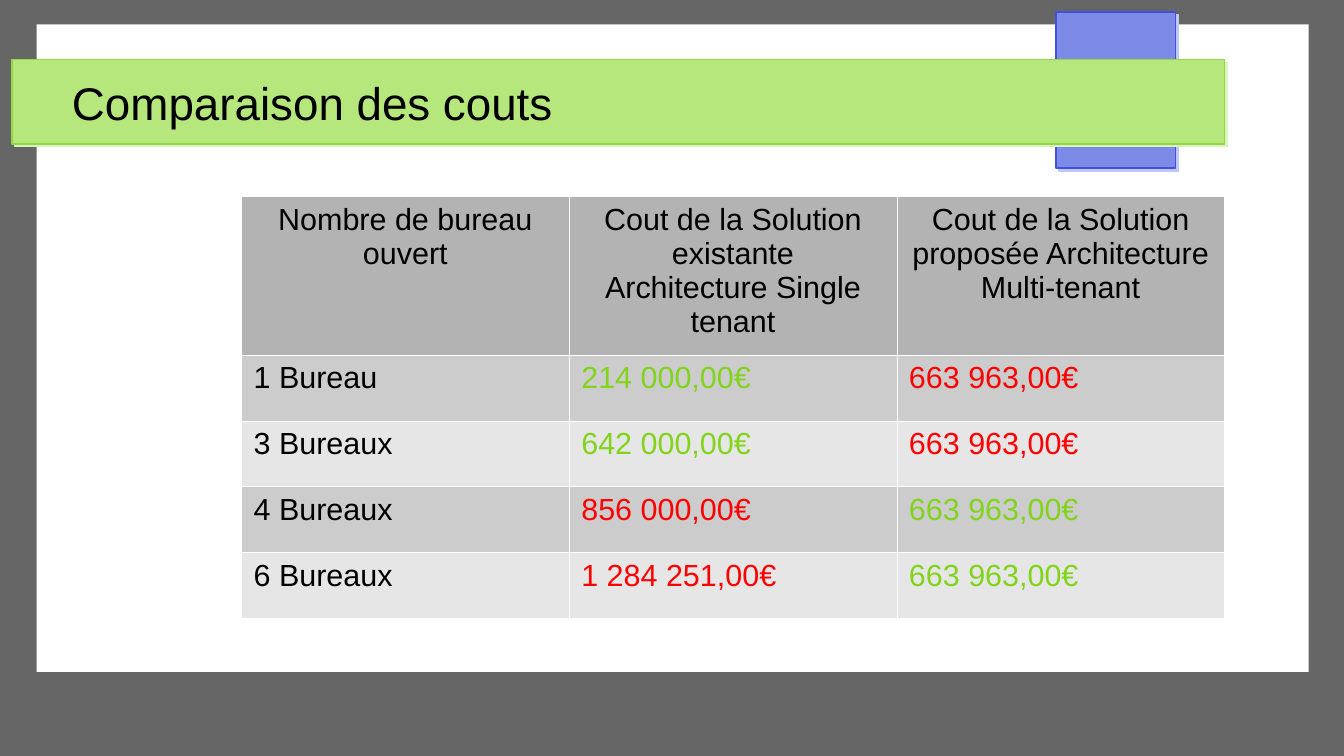
from lxml import etree
from pptx import Presentation
from pptx.dml.color import RGBColor
from pptx.enum.shapes import MSO_SHAPE
from pptx.enum.text import MSO_ANCHOR, PP_ALIGN
from pptx.oxml.ns import qn
from pptx.util import Inches, Pt

RECTANGLE = MSO_SHAPE.RECTANGLE
MIDDLE = MSO_ANCHOR.MIDDLE
LEFT, CENTER = PP_ALIGN.LEFT, PP_ALIGN.CENTER

BLACK = RGBColor(0x00, 0x00, 0x00)
WHITE = RGBColor(0xFF, 0xFF, 0xFF)
FRAME_GRAY = RGBColor(0x66, 0x66, 0x66)
HEADER_GRAY = RGBColor(0xB3, 0xB3, 0xB3)
BAND_GRAYS = (RGBColor(0xCC, 0xCC, 0xCC), RGBColor(0xE6, 0xE6, 0xE6))
BLUE = RGBColor(0x7D, 0x8A, 0xE7)
BLUE_LINE = RGBColor(0x3F, 0x52, 0xD9)
BLUE_SHADOW = RGBColor(0xC1, 0xC7, 0xF4)
GREEN = RGBColor(0xB5, 0xE7, 0x7D)
GREEN_LINE = RGBColor(0x91, 0xD9, 0x3F)
GREEN_SHADOW = RGBColor(0xDC, 0xF1, 0xC1)
CHEAPER = RGBColor(0x81, 0xD4, 0x1A)
DEARER = RGBColor(0xFF, 0x00, 0x00)

FONT = "Arial"
HEADERS = (
    "Nombre de bureau ouvert",
    "Cout de la Solution existante\nArchitecture Single tenant",
    "Cout de la Solution proposée Architecture Multi-tenant",
)
COSTS = (
    ("1 Bureau", 214000, 663963),
    ("3 Bureaux", 642000, 663963),
    ("4 Bureaux", 856000, 663963),
    ("6 Bureaux", 1284251, 663963),
)


def add_panel(slide, left, top, width, height, fill, line=None, shadow=None):
    """Add a filled rectangle with an optional outline and offset shadow."""
    panel = slide.shapes.add_shape(
        RECTANGLE, Inches(left), Inches(top), Inches(width), Inches(height))
    panel.shadow.inherit = False
    panel.fill.solid()
    panel.fill.fore_color.rgb = fill
    if line is None:
        panel.line.fill.background()
    else:
        panel.line.color.rgb = line
        panel.line.width = Pt(0.85)
    if shadow is not None:
        effects = panel._element.spPr.find(qn("a:effectLst"))
        outer = etree.SubElement(
            effects, qn("a:outerShdw"), blurRad="0", dist=str(Pt(2.4)),
            dir=str(45 * 60000), algn="tl", rotWithShape="0")
        etree.SubElement(outer, qn("a:srgbClr"), val=str(shadow))


def write_text(frame, text, size, color, align=LEFT):
    """Fill a text frame, one paragraph for each line of text."""
    frame.text = text
    frame.word_wrap = True
    for paragraph in frame.paragraphs:
        paragraph.alignment = align
        paragraph.font.name = FONT
        paragraph.font.size = Pt(size)
        paragraph.font.color.rgb = color


def add_title(slide, text):
    """Add the title over the green banner."""
    box = slide.shapes.add_textbox(
        Inches(0.59), Inches(0.49), Inches(9.45), Inches(0.69))
    frame = box.text_frame
    frame.margin_left = frame.margin_right = 0
    frame.margin_top = frame.margin_bottom = 0
    frame.vertical_anchor = MIDDLE
    write_text(frame, text, 27, BLACK)


def style_cell(cell, text, fill, color=BLACK, align=LEFT):
    """Write a table cell with its fill and thin white borders."""
    write_text(cell.text_frame, text, 18, color, align)
    properties = cell._tc.get_or_add_tcPr()
    for side in ("a:lnL", "a:lnR", "a:lnT", "a:lnB"):
        border = etree.SubElement(properties, qn(side), w=str(Pt(0.06)))
        solid = etree.SubElement(border, qn("a:solidFill"))
        etree.SubElement(solid, qn("a:srgbClr"), val=str(WHITE))
    cell.fill.solid()
    cell.fill.fore_color.rgb = fill


def format_cost(cost):
    """Return a cost in euros with spaced thousands."""
    return f"{cost:,}".replace(",", " ") + ",00€"


def add_cost_table(slide):
    """Add the cost table, with the cheaper solution of each row in green."""
    table = slide.shapes.add_table(
        len(COSTS) + 1, len(HEADERS),
        Inches(1.98), Inches(1.61), Inches(8.06), Inches(3.47)).table
    table.first_row = False
    table.horz_banding = False
    for row in table.rows:
        row.height = Inches(0.54)
    table.rows[0].height = Inches(1.3)
    for column, header in enumerate(HEADERS):
        style_cell(table.cell(0, column), header, HEADER_GRAY, align=CENTER)
    for index, (offices, *costs) in enumerate(COSTS):
        fill = BAND_GRAYS[index % 2]
        style_cell(table.cell(index + 1, 0), offices, fill)
        for column, cost in enumerate(costs, start=1):
            color = CHEAPER if cost == min(costs) else DEARER
            style_cell(table.cell(index + 1, column), format_cost(cost), fill, color)


def main():
    """Build the cost comparison slide."""
    deck = Presentation()
    deck.slide_width = Inches(11.02)
    deck.slide_height = Inches(6.2)
    slide = deck.slides.add_slide(deck.slide_layouts[6])
    add_panel(slide, 0, 0, 11.02, 6.2, FRAME_GRAY)
    add_panel(slide, 0.3, 0.2, 10.43, 5.31, WHITE)
    add_panel(slide, 8.66, 0.1, 0.98, 1.28, BLUE, BLUE_LINE, BLUE_SHADOW)
    add_panel(slide, 0.1, 0.49, 9.94, 0.69, GREEN, GREEN_LINE, GREEN_SHADOW)
    add_title(slide, "Comparaison des couts")
    add_cost_table(slide)
    deck.save("out.pptx")


if __name__ == "__main__":
    main()
